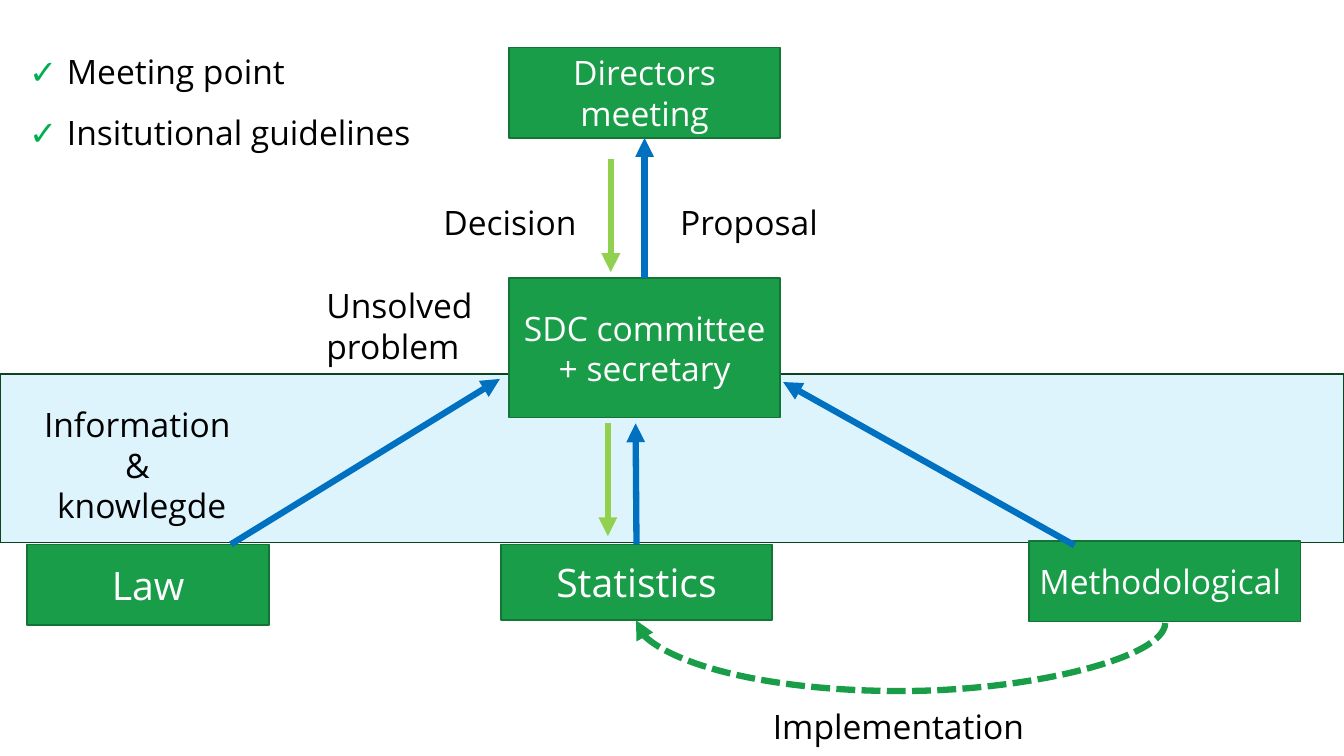
"""Build the slide on how the SDC committee links directors and departments."""
from lxml.etree import SubElement
from pptx import Presentation
from pptx.dml.color import RGBColor
from pptx.enum.dml import MSO_LINE
from pptx.enum.shapes import MSO_CONNECTOR, MSO_SHAPE
from pptx.enum.text import MSO_ANCHOR, MSO_AUTO_SIZE, PP_ALIGN
from pptx.oxml.ns import qn
from pptx.util import Pt

FONT = "Open Sans"
GREEN, BORDER, BLUE, LIME = "1A9D49", "137436", "0070C0", "92D050"
BAND = (0, 267.1, 960, 120.3)
BOX_WIDTH = 193.7
BOXES = {
    "statistics": (["Statistics"], 28, (357.8, 388.8, BOX_WIDTH, 54)),
    "methodological": (["Methodological "], 24, (735.1, 386.6, BOX_WIDTH, 57.6)),
    "law": (["Law"], 28, (19.4, 388.8, 172.8, 57.6)),
    "committee": (["SDC committee", "+ secretary"], 24, (363.6, 198.7, BOX_WIDTH, 99.4)),
    "directors": (["Directors meeting"], 24, (363.6, 33.8, BOX_WIDTH, 64.8)),
}
LABELS = [
    (["Unsolved problem"], (226.1, 200.2, 133.9, 65.5), {}),
    (["Decision"], (309.6, 140.4, 126.7, 36), {}),
    (["Proposal"], (478.8, 140.4, 131.8, 36), {}),
    (["Information ", "& ", "knowlegde"], (9.4, 285.1, 183.6, 94.3),
     {"align": PP_ALIGN.CENTER}),
    (["Implementation"], (545, 500.4, 202.3, 36), {}),
    (["Meeting point", "Insitutional guidelines"], (13.7, 18.7, 375.8, 90),
     {"spacing": 1.5, "bullet": "✓"}),
]
ARROWS = [
    ((460.4, 198.7), (460.4, 98.6), BLUE, "committee", "directors"),
    ((436.3, 113.8), (436.3, 194.4), LIME, None, None),
    ((164.9, 388.8), (357.1, 270.7), BLUE, None, None),
    ((767.5, 389.5), (559.4, 272.9), BLUE, None, None),
    ((454.7, 388.8), (454, 302.4), BLUE, "statistics", None),
    ((434.2, 302.4), (434.2, 383), LIME, None, None),
]
CURVE_START, CURVE_END, CURVE_DEPTH = (832.3, 445), (454.3, 443), 48.3


def color(value):
    """Turn a hex string into a colour."""
    return RGBColor.from_string(value)


def write(shape, lines, size=24, ink="000000", align=PP_ALIGN.LEFT, spacing=None, bullet=None):
    """Write formatted paragraphs into a shape."""
    frame = shape.text_frame
    frame.word_wrap = True
    for index, line in enumerate(lines):
        para = frame.add_paragraph() if index else frame.paragraphs[0]
        para.alignment = align
        if spacing:
            para.line_spacing = spacing
        span = para.add_run()
        span.text = line
        span.font.name, span.font.size = FONT, Pt(size)
        span.font.color.rgb = color(ink)
        if bullet:
            properties = para._p.get_or_add_pPr()
            properties.set("marL", str(Pt(27)))
            properties.set("indent", str(-Pt(27)))
            tint = SubElement(properties, qn("a:buClr"))
            SubElement(tint, qn("a:srgbClr"), val="00B050")
            SubElement(properties, qn("a:buFont"), typeface=FONT)
            SubElement(properties, qn("a:buChar"), char=bullet)


def add_box(slide, place, fill, border):
    """Add a filled rectangle."""
    box = slide.shapes.add_shape(MSO_SHAPE.RECTANGLE, *map(Pt, place))
    box.shadow.inherit = False
    box.fill.solid()
    box.fill.fore_color.rgb = color(fill)
    box.line.color.rgb = color(border)
    box.line.width = Pt(1)
    return box


def add_arrow(slide, start, end, ink, kind=MSO_CONNECTOR.STRAIGHT):
    """Add a thick connector with an arrowhead at its end."""
    arrow = slide.shapes.add_connector(kind, *map(Pt, start + end))
    arrow.line.color.rgb = color(ink)
    arrow.line.width = Pt(4.5)
    SubElement(arrow.line._get_or_add_ln(), qn("a:tailEnd"), type="triangle")
    SubElement(arrow._element.spPr, qn("a:effectLst"))
    return arrow


def add_feedback_curve(slide):
    """Add the dashed curve that hangs below the lower boxes."""
    arrow = add_arrow(slide, CURVE_START, CURVE_END, GREEN, MSO_CONNECTOR.CURVE)
    arrow.line.dash_style = MSO_LINE.SQUARE_DOT
    span, drop = CURVE_START[0] - CURVE_END[0], CURVE_START[1] - CURVE_END[1]
    middle = [(first + last) / 2 for first, last in zip(CURVE_START, CURVE_END)]
    arrow.left, arrow.top = Pt(middle[0] - drop / 2), Pt(middle[1] - span / 2)
    arrow.width, arrow.height = Pt(drop), Pt(span)
    frame = arrow._element.spPr.find(qn("a:xfrm"))
    frame.attrib.pop("flipV", None)
    frame.set("flipH", "1")
    frame.set("rot", "5400000")
    geometry = arrow._element.spPr.find(qn("a:prstGeom"))
    guides = geometry.find(qn("a:avLst"))
    if guides is None:
        guides = SubElement(geometry, qn("a:avLst"))
    bend = round(-CURVE_DEPTH / drop * 100000)
    SubElement(guides, qn("a:gd"), name="adj1", fmla=f"val {bend}")


def main():
    """Assemble and save the deck."""
    deck = Presentation()
    deck.slide_width, deck.slide_height = Pt(960), Pt(540)
    slide = deck.slides.add_slide(deck.slide_layouts[6])

    band = add_box(slide, BAND, "00B0F0", "0B4520")
    tint = band._element.spPr.find(qn("a:solidFill")).find(qn("a:srgbClr"))
    SubElement(tint, qn("a:alpha"), val="13000")

    boxes = {}
    for name, (lines, size, place) in BOXES.items():
        boxes[name] = add_box(slide, place, GREEN, BORDER)
        boxes[name].text_frame.vertical_anchor = MSO_ANCHOR.MIDDLE
        write(boxes[name], lines, size=size, ink="FFFFFF", align=PP_ALIGN.CENTER)

    for lines, place, style in LABELS:
        label = slide.shapes.add_textbox(*map(Pt, place))
        write(label, lines, **style)
        label.text_frame.auto_size = MSO_AUTO_SIZE.SHAPE_TO_FIT_TEXT

    for start, end, ink, source, target in ARROWS:
        arrow = add_arrow(slide, start, end, ink)
        if source:
            arrow.begin_connect(boxes[source], 0)
        if target:
            arrow.end_connect(boxes[target], 2)
    add_feedback_curve(slide)

    deck.save("out.pptx")


if __name__ == "__main__":
    main()
